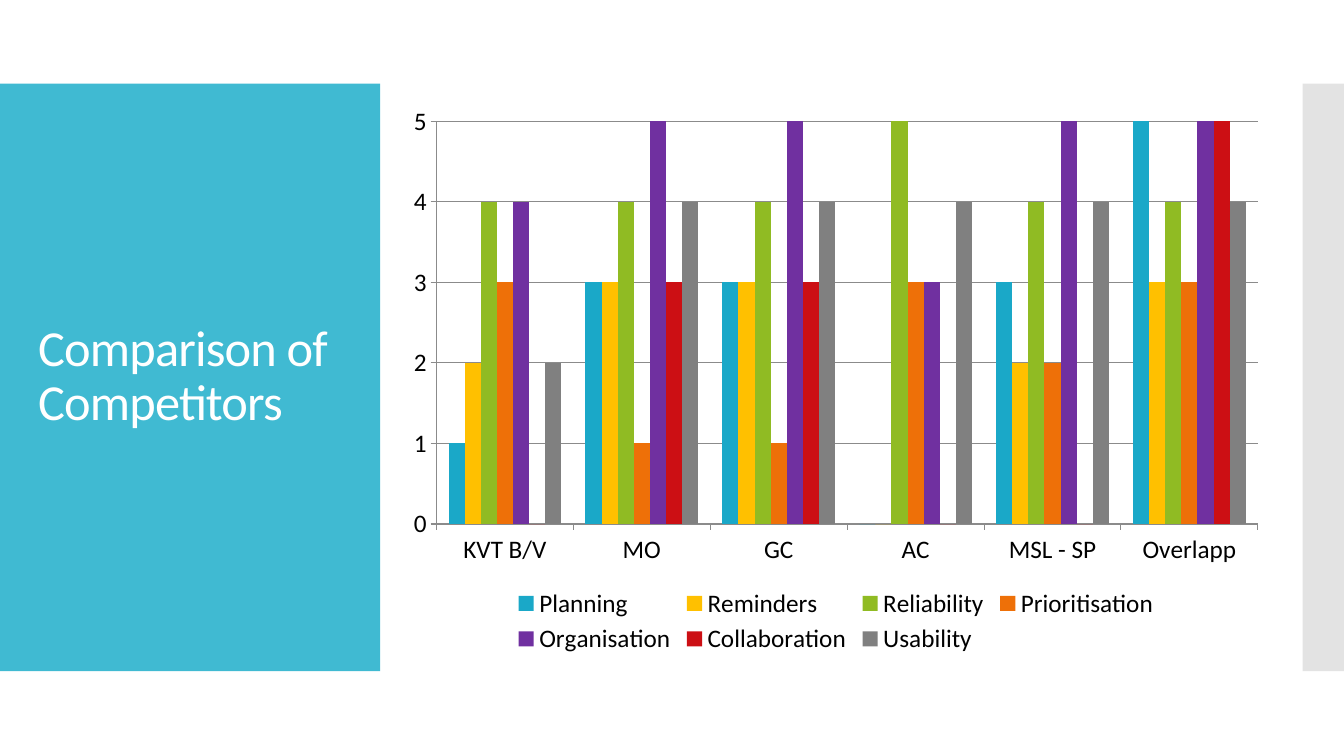
import pptx
import pptx.chart.data
import pptx.dml.color
import pptx.enum.chart
import pptx.enum.shapes
import pptx.enum.text
import pptx.oxml
import pptx.oxml.ns
import pptx.util
from dataclasses import dataclass

Inches = pptx.util.Inches
Pt = pptx.util.Pt


@dataclass(frozen=True)
class Theme:
    font: str = "Calibri"
    title_size: int = 36
    chart_size: int = 18
    panel: str = "40BAD2"
    strip: str = "C8C8C8"
    title: str = "FFFFFF"
    text: str = "000000"
    grid: str = "8B8B8B"


THEME = Theme()

CATEGORIES = ["KVT B/V", "MO", "GC", "AC", "MSL - SP", "Overlapp"]
SERIES = [
    ("Planning", (1, 3, 3, 0, 3, 5), "1AA8C8"),
    ("Reminders", (2, 3, 3, 0, 2, 3), "FFC000"),
    ("Reliability", (4, 4, 4, 5, 4, 4), "90BB23"),
    ("Prioritisation", (3, 1, 1, 3, 2, 3), "EE7008"),
    ("Organisation", (4, 5, 5, 3, 5, 5), "7030A0"),
    ("Collaboration", (0, 3, 3, 0, 0, 5), "CC0F14"),
    ("Usability", (2, 4, 4, 4, 4, 4), "808080"),
]


def rgb(value):
    return pptx.dml.color.RGBColor.from_string(value)


def style_font(font, size, color):
    font.name = THEME.font
    font.size = Pt(size)
    font.color.rgb = rgb(color)


def add_block(s, left, top, width, height, color, opacity=100):
    sp = s.shapes.add_shape(
        pptx.enum.shapes.MSO_SHAPE.RECTANGLE,
        Inches(left), Inches(top), Inches(width), Inches(height))
    sp.shadow.inherit = False
    sp.fill.solid()
    sp.fill.fore_color.rgb = rgb(color)
    sp.line.fill.background()
    if opacity < 100:
        clr = sp.fill._xPr.find(".//" + pptx.oxml.ns.qn("a:srgbClr"))
        clr.append(pptx.oxml.parse_xml(
            f'<a:alpha {pptx.oxml.ns.nsdecls("a")} val="{opacity * 1000}"/>'))


def add_title(s, text, left, top, width, height):
    tf = s.shapes.add_textbox(
        Inches(left), Inches(top), Inches(width), Inches(height)).text_frame
    tf.word_wrap = True
    tf.vertical_anchor = pptx.enum.text.MSO_ANCHOR.MIDDLE
    p = tf.paragraphs[0]
    p.line_spacing = 0.9
    style_font(p.font, THEME.title_size, THEME.title)
    r = p.add_run()
    r.text = text
    r._r.get_or_add_rPr().set("spc", "-60")


def style_line(line):
    line.color.rgb = rgb(THEME.grid)
    line.width = Pt(0.75)


def add_column_chart(s, left, top, width, height):
    data = pptx.chart.data.CategoryChartData()
    data.categories = CATEGORIES
    for name, values, _ in SERIES:
        data.add_series(name, values)
    chart = s.shapes.add_chart(
        pptx.enum.chart.XL_CHART_TYPE.COLUMN_CLUSTERED,
        Inches(left), Inches(top), Inches(width), Inches(height), data).chart
    style_font(chart.font, THEME.chart_size, THEME.text)
    chart.has_title = False
    chart.has_legend = True
    chart.legend.position = pptx.enum.chart.XL_LEGEND_POSITION.BOTTOM
    chart.legend.include_in_layout = False

    plot = chart.plots[0]
    plot.gap_width = 150
    plot.overlap = 0
    plot.vary_by_categories = False
    for series, (_, _, color) in zip(plot.series, SERIES):
        series.format.fill.solid()
        series.format.fill.fore_color.rgb = rgb(color)
        series.invert_if_negative = False

    for axis in (chart.category_axis, chart.value_axis):
        axis.major_tick_mark = pptx.enum.chart.XL_TICK_MARK.OUTSIDE
        axis.minor_tick_mark = pptx.enum.chart.XL_TICK_MARK.NONE
        style_line(axis.format.line)
    axis = chart.value_axis
    axis.minimum_scale = 0
    axis.maximum_scale = 5
    axis.major_unit = 1
    axis.has_major_gridlines = True
    style_line(axis.major_gridlines.format.line)


def main():
    prs = pptx.Presentation()
    prs.slide_width = Inches(13.33)
    prs.slide_height = Inches(7.5)
    s = prs.slides.add_slide(prs.slide_layouts[6])
    add_block(s, 0, 0.83, 3.77, 5.83, THEME.panel)
    add_block(s, 12.92, 0.83, 0.41, 5.83, THEME.strip, opacity=50)
    add_title(s, "Comparison of Competitors", 0.28, 1.23, 3.22, 5.03)
    add_column_chart(s, 3.93, 0.94, 8.72, 5.6)
    prs.save("out.pptx")


if __name__ == "__main__":
    main()
